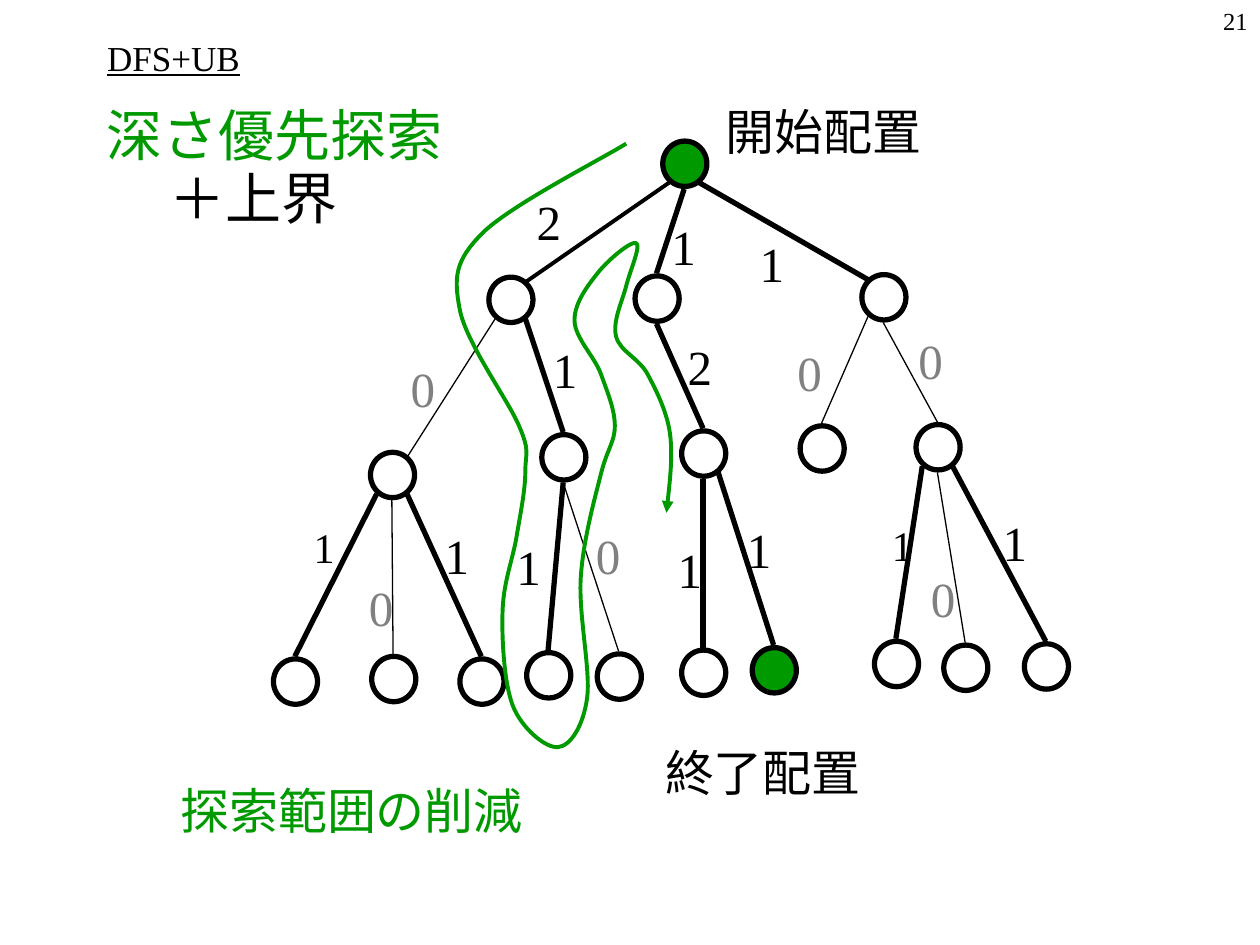
from pptx import Presentation
from pptx.dml.color import RGBColor
from pptx.enum.shapes import MSO_CONNECTOR, MSO_SHAPE
from pptx.enum.text import MSO_ANCHOR, MSO_AUTO_SIZE, PP_ALIGN
from pptx.oxml.xmlchemy import OxmlElement
from pptx.util import Inches, Pt

STRAIGHT = MSO_CONNECTOR.STRAIGHT
OVAL = MSO_SHAPE.OVAL
MIDDLE, TOP = MSO_ANCHOR.MIDDLE, MSO_ANCHOR.TOP
FIXED = MSO_AUTO_SIZE.NONE
LEFT, CENTER, RIGHT = PP_ALIGN.LEFT, PP_ALIGN.CENTER, PP_ALIGN.RIGHT

CELL = Inches(0.01)
COLUMNS, ROWS = 1000, 750
NODE_WIDTH, NODE_HEIGHT = 35, 36
THIN, MEDIUM, THICK = 0.75, 2.25, 3
FONT = "Times New Roman"
BLACK, GRAY, GREEN = "000000", "808080", "009900"


def paint(color, value):
    color.rgb = RGBColor.from_string(value)


def write(paragraph, text, size, color, **layout):
    paragraph.text = text
    for name, value in layout.items():
        setattr(paragraph, name, value)
    for name, value in {"name": FONT, "size": Pt(size)}.items():
        setattr(paragraph.font, name, value)
    paint(paragraph.font.color, color)


presentation = Presentation()
presentation.slide_width = COLUMNS * CELL
presentation.slide_height = ROWS * CELL
slide = presentation.slides.add_slide(presentation.slide_layouts[5])
shapes = slide.shapes

title = shapes.title
title_box = {"left": 75, "top": 33, "width": 642, "height": 25}
for name, cells in title_box.items():
    setattr(title, name, cells * CELL)
title.text_frame.vertical_anchor = MIDDLE
title.text_frame.auto_size = FIXED
write(title.text_frame.paragraphs[0], "DFS+UB", 20, BLACK, alignment=LEFT)
title.text_frame.paragraphs[0].font.underline = True

heading = shapes.add_textbox(75 * CELL, 75 * CELL, 892 * CELL, 617 * CELL).text_frame
heading.word_wrap = True
write(heading.paragraphs[0], "深さ優先探索", 32, GREEN)
subheading = heading.add_paragraph()
subheading._p.get_or_add_pPr().set("marL", str(50 * CELL))
write(subheading, "＋上界", 32, BLACK, line_spacing=0.7, space_before=Pt(8))

nodes = {
    "start": (526, 112),
    "a": (388, 220), "b": (504, 219), "c": (684, 218),
    "aa": (294, 359), "ab": (430, 345), "ba": (541, 342),
    "ca": (635, 338), "cb": (727, 337),
    "aaa": (217, 523), "aab": (295, 521), "aac": (365, 523),
    "aba": (418, 518), "abb": (474, 519),
    "baa": (541, 516), "goal": (597, 514),
    "cba": (694, 509), "cbb": (749, 512), "cbc": (813, 511),
}
for name, (column, row) in nodes.items():
    node = shapes.add_shape(OVAL, column * CELL, row * CELL, NODE_WIDTH * CELL, NODE_HEIGHT * CELL)
    node.shadow.inherit = False
    node.line.width = Pt(THICK)
    paint(node.line.color, BLACK)
    if name in ("start", "goal"):
        node.fill.solid()
        paint(node.fill.fore_color, GREEN)
    else:
        node.fill.background()

sites = {
    "top": (17, -2), "top left": (5, 4), "top right": (29, 4),
    "bottom": (17, 38), "bottom left": (5, 33), "bottom right": (29, 33),
}
edges = [
    ("start", "bottom left", "a", "top right", "2", 28, 416, 147),
    ("start", "bottom", "b", "top", "1", 28, 523, 167),
    ("start", "bottom right", "c", "top left", "1", 28, 593, 180),
    ("a", "bottom left", "aa", "top right", "0", 28, 316, 279),
    ("a", "bottom right", "ab", "top", "1", 28, 429, 264),
    ("b", "bottom", "ba", "top", "2", 28, 536, 262),
    ("c", "bottom left", "ca", "top", "0", 28, 623, 267),
    ("c", "bottom", "cb", "top", "0", 28, 719, 257),
    ("aa", "bottom left", "aaa", "top", "1", 24, 239, 409),
    ("aa", "bottom", "aab", "top", "0", 28, 283, 453),
    ("aa", "bottom right", "aac", "top", "1", 28, 343, 412),
    ("ab", "bottom", "aba", "top", "1", 28, 400, 421),
    ("ab", "bottom", "abb", "top", "0", 28, 463, 412),
    ("ba", "bottom", "baa", "top", "1", 28, 528, 423),
    ("ba", "bottom right", "goal", "top", "1", 28, 583, 407),
    ("cb", "bottom left", "cba", "top", "1", 24, 698, 407),
    ("cb", "bottom", "cbb", "top", "0", 28, 729, 446),
    ("cb", "bottom right", "cbc", "top", "1", 28, 786, 402),
]
cost_styles = {"0": (GRAY, THIN), "1": (BLACK, THICK), "2": (BLACK, THICK)}
special_weights = {("start", "a"): MEDIUM}
cost_boxes = {28: (39, 57), 24: (36, 50)}
labels = [
    ("開始配置", 28, BLACK, 566, 88, 175, 43, LEFT, 0.7, MIDDLE),
    ("終了配置", 28, BLACK, 518, 593, 175, 48, LEFT, 0.8, MIDDLE),
    ("探索範囲の削減", 28, GREEN, 133, 614, 292, 57, CENTER, 1.0, MIDDLE),
    ("21", 14, BLACK, 792, 0, 208, 50, RIGHT, 1.0, TOP),
]
for parent, start_site, child, end_site, cost, size, column, row in edges:
    color, weight = cost_styles[cost]
    ends = []
    for name, site in ((parent, start_site), (child, end_site)):
        ends += [(base + offset) * CELL for base, offset in zip(nodes[name], sites[site])]
    edge = shapes.add_connector(STRAIGHT, *ends)
    edge.line.width = Pt(special_weights.get((parent, child), weight))
    paint(edge.line.color, BLACK)
    edge._element.spPr.append(OxmlElement("a:effectLst"))
    labels.append((cost, size, color, column, row, *cost_boxes[size], CENTER, 1.0, MIDDLE))

for text, size, color, column, row, width, height, alignment, spacing, anchor in labels:
    label = shapes.add_textbox(column * CELL, row * CELL, width * CELL, height * CELL)
    label.text_frame.word_wrap = False
    label.text_frame.vertical_anchor = anchor
    write(label.text_frame.paragraphs[0], text, size, color, alignment=alignment, line_spacing=spacing)

search_visits = [
    ("start", [(-29, 2)]),
    ("a", [(-5, -35), (-23, 26)]),
    ("ab", [(-18, -7), (-13, 29)]),
    ("aba", [(-8, -92), (-19, -35), (-11, 42), (25, 75), (48, 36), (43, -60)]),
    ("ab", [(47, 31), (58, -7), (47, -48)]),
    ("a", [(68, 34)]),
    ("b", [(-29, -3), (1, -26), (-7, 8), (-15, 48)]),
    ("ba", [(-27, -45), (-9, 4), (-12, 65)]),
]
waypoints = []
for name, offsets in search_visits:
    node_column, node_row = nodes[name]
    waypoints += [(node_column + right, node_row + down) for right, down in offsets]

padded = [waypoints[0], *waypoints, waypoints[-1]]
curve_points = []
for before, start, end, after in zip(padded, padded[1:], padded[2:], padded[3:]):
    leaving = [s + (e - b) / 6 for b, s, e in zip(before, start, end)]
    arriving = [e - (a - s) / 6 for s, e, a in zip(start, end, after)]
    curve_points += [leaving, arriving, end]

builder = shapes.build_freeform(*waypoints[0], scale=CELL)
builder.add_line_segments(curve_points, close=False)
search_route = builder.convert_to_shape()
segments = search_route._element.xpath(".//a:lnTo")
for index in range(0, len(segments), 3):
    bend = OxmlElement("a:cubicBezTo")
    segments[index].addprevious(bend)
    for segment in segments[index:index + 3]:
        bend.append(segment[0])
        segment.getparent().remove(segment)
search_route.shadow.inherit = False
search_route.fill.background()
search_route.line.width = Pt(MEDIUM)
paint(search_route.line.color, GREEN)
arrowhead = OxmlElement("a:tailEnd")
arrowhead.set("type", "triangle")
search_route.line._get_or_add_ln().append(arrowhead)

presentation.save("out.pptx")
